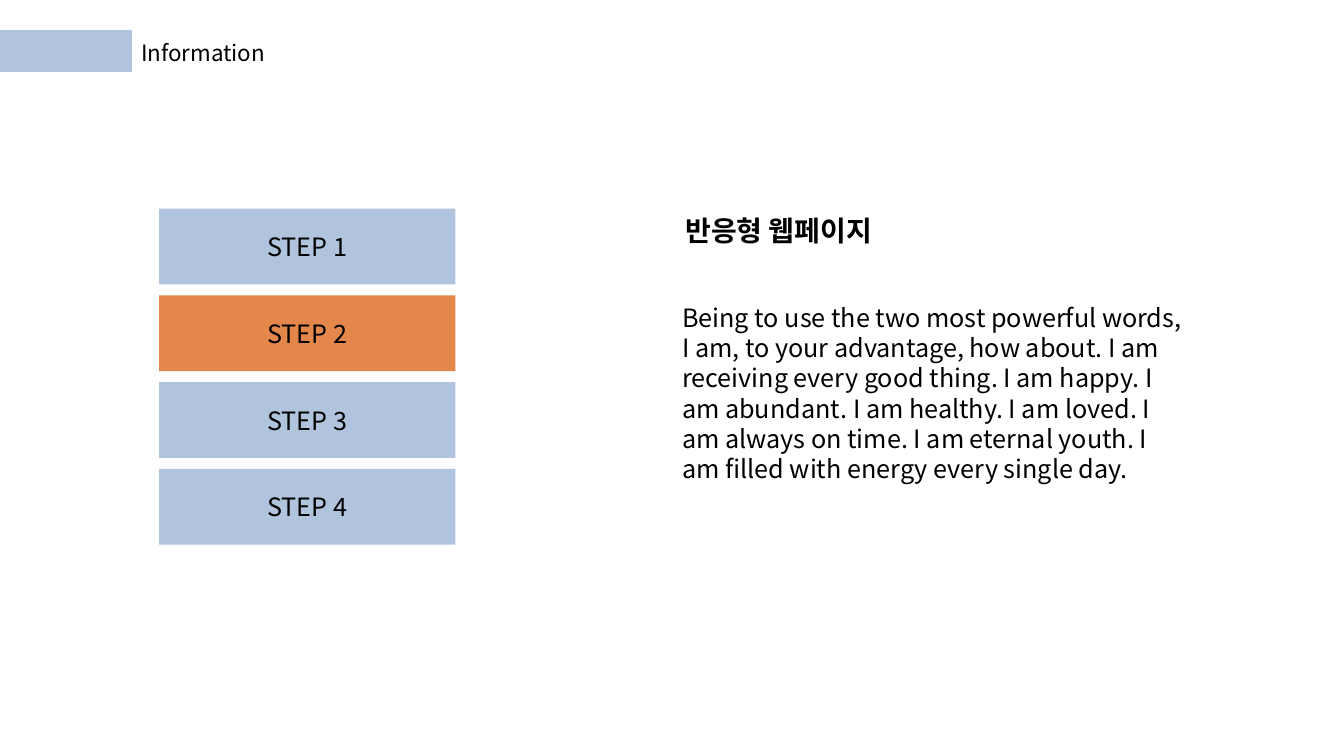
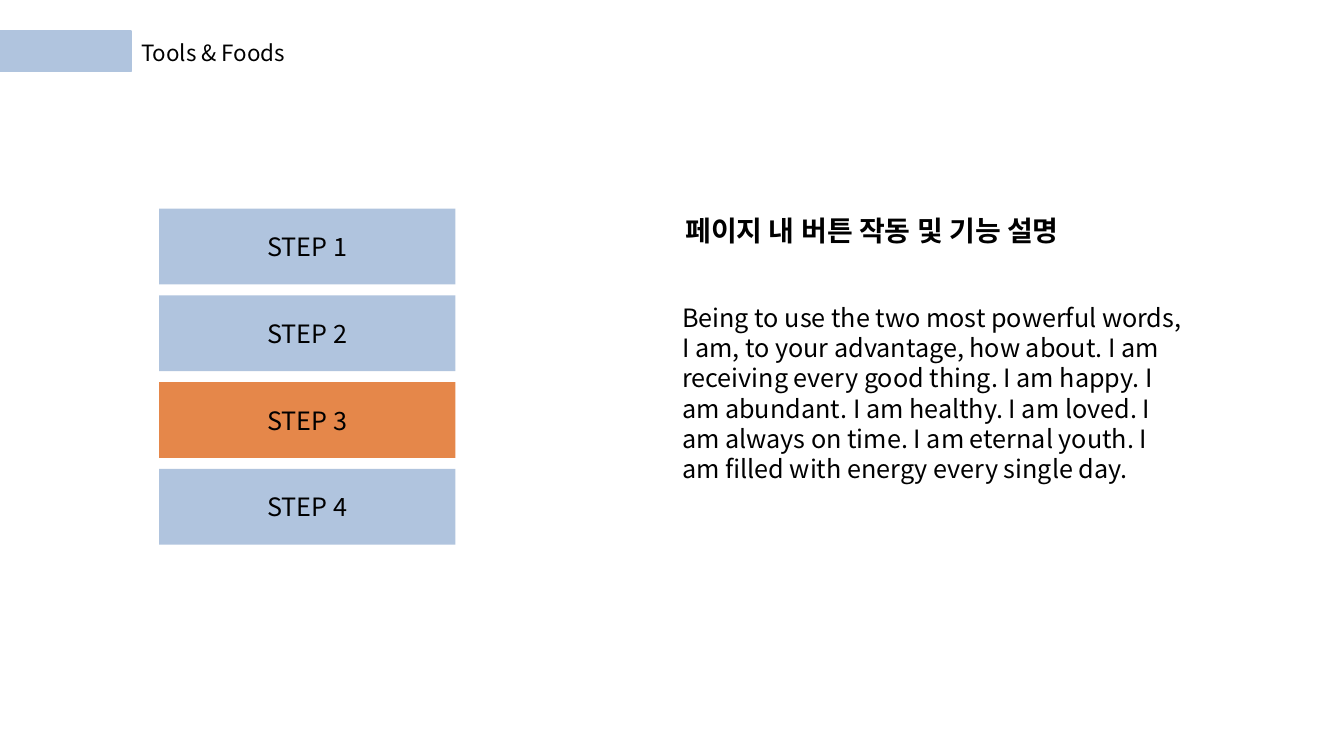
from lxml import etree
from pptx import Presentation
from pptx.dml.color import RGBColor
from pptx.enum.shapes import MSO_SHAPE
from pptx.enum.text import MSO_ANCHOR, MSO_AUTO_SIZE, PP_ALIGN
from pptx.oxml.ns import qn
from pptx.util import Cm, Pt

RECTANGLE = MSO_SHAPE.RECTANGLE
TOP, MIDDLE = MSO_ANCHOR.TOP, MSO_ANCHOR.MIDDLE
LEFT, CENTER = PP_ALIGN.LEFT, PP_ALIGN.CENTER
NO_FIT = MSO_AUTO_SIZE.NONE

FONT = "Noto Sans CJK KR"
COLORS = {"band": "B0C4DE", "active": "E5874A", "text": "000000"}
STEP_COUNT = 4
STEP_LEFT, STEP_TOP, STEP_WIDTH, STEP_HEIGHT = 4.01, 5.26, 7.47, 1.91
STEP_PITCH = 2.185

DESCRIPTION = (
    "Being to use the two most powerful words, I am, to your advantage, "
    "how about. I am receiving every good thing. I am happy. I am abundant. "
    "I am healthy. I am loved. I am always on time. I am eternal youth. "
    "I am filled with energy every single day."
)
PAGES = [
    {"title": "Information", "heading": "반응형 웹페이지", "active": 2},
    {"title": "Tools & Foods", "heading": "페이지 내 버튼 작동 및 기능 설명", "active": 3},
]


def write(shape, text, size, bold=False, align=LEFT, anchor=TOP):
    frame = shape.text_frame
    frame_format = {"word_wrap": True, "auto_size": NO_FIT, "vertical_anchor": anchor}
    for key, value in frame_format.items():
        setattr(frame, key, value)
    paragraph = frame.paragraphs[0]
    paragraph.alignment = align
    paragraph.line_spacing = Pt(size * 1.2)
    run = paragraph.add_run()
    run.text = text
    for key, value in {"name": FONT, "size": Pt(size), "bold": bold}.items():
        setattr(run.font, key, value)
    run.font.color.rgb = RGBColor.from_string(COLORS["text"])
    east_asian = etree.SubElement(run.font._element, qn("a:ea"))
    east_asian.set("typeface", FONT)


def add_bar(slide, left, top, width, height, color):
    bar = slide.shapes.add_shape(RECTANGLE, Cm(left), Cm(top), Cm(width), Cm(height))
    bar.shadow.inherit = False
    bar.fill.solid()
    bar.fill.fore_color.rgb = RGBColor.from_string(COLORS[color])
    bar.line.fill.background()
    return bar


deck = Presentation()
deck.slide_width, deck.slide_height = Cm(33.87), Cm(19.05)
title_only = deck.slide_layouts[5]

for page in PAGES:
    slide = deck.slides.add_slide(title_only)

    for index in range(STEP_COUNT):
        number = index + 1
        color = "active" if number == page["active"] else "band"
        step_top = STEP_TOP + index * STEP_PITCH
        step = add_bar(slide, STEP_LEFT, step_top, STEP_WIDTH, STEP_HEIGHT, color)
        write(step, f"STEP {number}", 18, align=CENTER, anchor=MIDDLE)

    title_band = add_bar(slide, 0, 0.78, 3.3, 1.03, "band")
    title_band.line.color.rgb = RGBColor.from_string(COLORS["band"])
    title_band.line.width = Pt(1)

    title = slide.shapes.title
    title_place = {"left": 3.3, "top": 0.86, "width": 10.62, "height": 0.94}
    for key, value in title_place.items():
        setattr(title, key, Cm(value))
    write(title, page["title"], 16)

    heading = slide.shapes.add_textbox(Cm(17.02), Cm(5.26), Cm(12), Cm(1.12))
    write(heading, page["heading"], 20, bold=True)

    description = slide.shapes.add_textbox(Cm(16.94), Cm(7.49), Cm(13.16), Cm(5.64))
    write(description, DESCRIPTION, 18)

deck.save("out.pptx")
